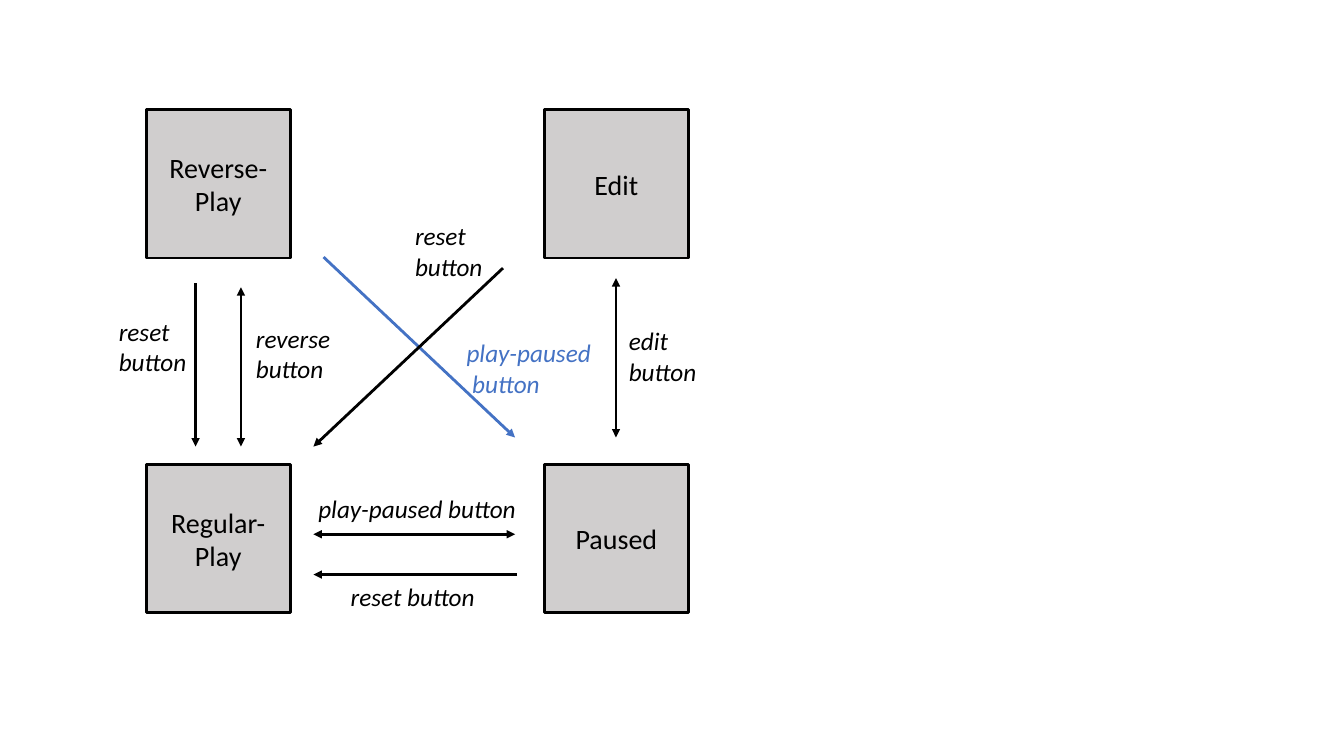
from pptx import Presentation
from pptx.util import Pt
from pptx.dml.color import RGBColor
from pptx.enum.shapes import MSO_SHAPE as Shape, MSO_CONNECTOR as Connector
from pptx.enum.text import MSO_ANCHOR as Anchor, MSO_AUTO_SIZE as AutoSize, PP_ALIGN as Align
from pptx.oxml.ns import qn
from lxml.etree import SubElement

FONT = "Calibri"
COLORS = {"ink": "000000", "state": "D0CECE", "accent": "4472C4"}
STATE_WIDTH, STATE_HEIGHT = 103, 105.8
LEFT, RIGHT = 104.4, 388.8
TOP, BOTTOM = 78.5, 331.9


def color(name):
    return RGBColor.from_string(COLORS[name])


def style_font(paragraph, size, ink="ink", italic=False):
    font = paragraph.font
    font.name, font.size, font.italic = FONT, Pt(size), italic
    font.color.rgb = color(ink)


def add_state(slide, name, left, top):
    """Draw a state as a grey box with its name in the middle."""
    shape = slide.shapes.add_shape(
        Shape.RECTANGLE, Pt(left), Pt(top), Pt(STATE_WIDTH), Pt(STATE_HEIGHT))
    shape.shadow.inherit = False
    shape.fill.solid()
    shape.fill.fore_color.rgb = color("state")
    shape.line.color.rgb = color("ink")
    shape.line.width = Pt(2)
    frame = shape.text_frame
    frame.word_wrap = True
    frame.vertical_anchor = Anchor.MIDDLE
    paragraph = frame.paragraphs[0]
    paragraph.text = name
    paragraph.alignment = Align.CENTER
    style_font(paragraph, 20)


def add_label(slide, lines, left, top, width, ink="ink", wrap=True):
    """Write the button that triggers a transition, one paragraph a line."""
    height = 7.2 + 21.95 * len(lines)
    box = slide.shapes.add_textbox(Pt(left), Pt(top), Pt(width), Pt(height))
    frame = box.text_frame
    frame.word_wrap = wrap
    frame.auto_size = AutoSize.SHAPE_TO_FIT_TEXT
    for index, line in enumerate(lines):
        paragraph = frame.add_paragraph() if index else frame.paragraphs[0]
        paragraph.text = line
        style_font(paragraph, 18, ink, italic=True)


def add_arrow(slide, start, end, ink="ink", both=False):
    """Draw a transition; both=True puts a head at each end."""
    arrow = slide.shapes.add_connector(
        Connector.STRAIGHT, *(Pt(value) for value in start + end))
    arrow.line.color.rgb = color(ink)
    arrow.line.width = Pt(2)
    line = arrow.line._get_or_add_ln()
    for tag in ("a:headEnd", "a:tailEnd") if both else ("a:tailEnd",):
        SubElement(line, qn(tag), type="triangle")
    SubElement(arrow._element.spPr, qn("a:effectLst"))


def main():
    presentation = Presentation()
    presentation.slide_width, presentation.slide_height = Pt(960), Pt(540)
    slide = presentation.slides.add_slide(presentation.slide_layouts[6])

    # States
    add_state(slide, "Regular-Play", LEFT, BOTTOM)
    add_state(slide, "Paused", RIGHT, BOTTOM)
    add_state(slide, "Edit", RIGHT, TOP)
    add_state(slide, "Reverse- Play", LEFT, TOP)

    # Button labels
    add_label(slide, ["play-paused", " button"], 326.2, 237.6, 103, "accent", wrap=False)
    add_label(slide, ["edit", "button"], 442.1, 229, 63.5)
    add_label(slide, ["reverse", "button"], 175.7, 227.5, 71.3)
    add_label(slide, ["play-paused button"], 220.3, 348.5, 155.5, wrap=False)
    add_label(slide, ["reset button"], 243.4, 411.8, 109.4)
    add_label(slide, ["reset", "button"], 289.4, 154.1, 76.3)
    add_label(slide, ["reset", "button"], 77.8, 222.5, 76.3)

    # Vertical transitions
    add_arrow(slide, (139.7, 202.3), (139.7, 319))
    add_arrow(slide, (172.1, 205.2), (172.1, 319), both=True)
    add_arrow(slide, (440, 198.7), (440, 312.5), both=True)

    # Horizontal transitions
    add_arrow(slide, (223.9, 381.6), (367.9, 381.6), both=True)
    add_arrow(slide, (369.4, 410.4), (223.9, 410.4))

    # Diagonal transitions
    add_arrow(slide, (231.1, 183.6), (367.9, 312.5), "accent")
    add_arrow(slide, (359.3, 191.5), (223.9, 319))

    presentation.save("out.pptx")


main()
